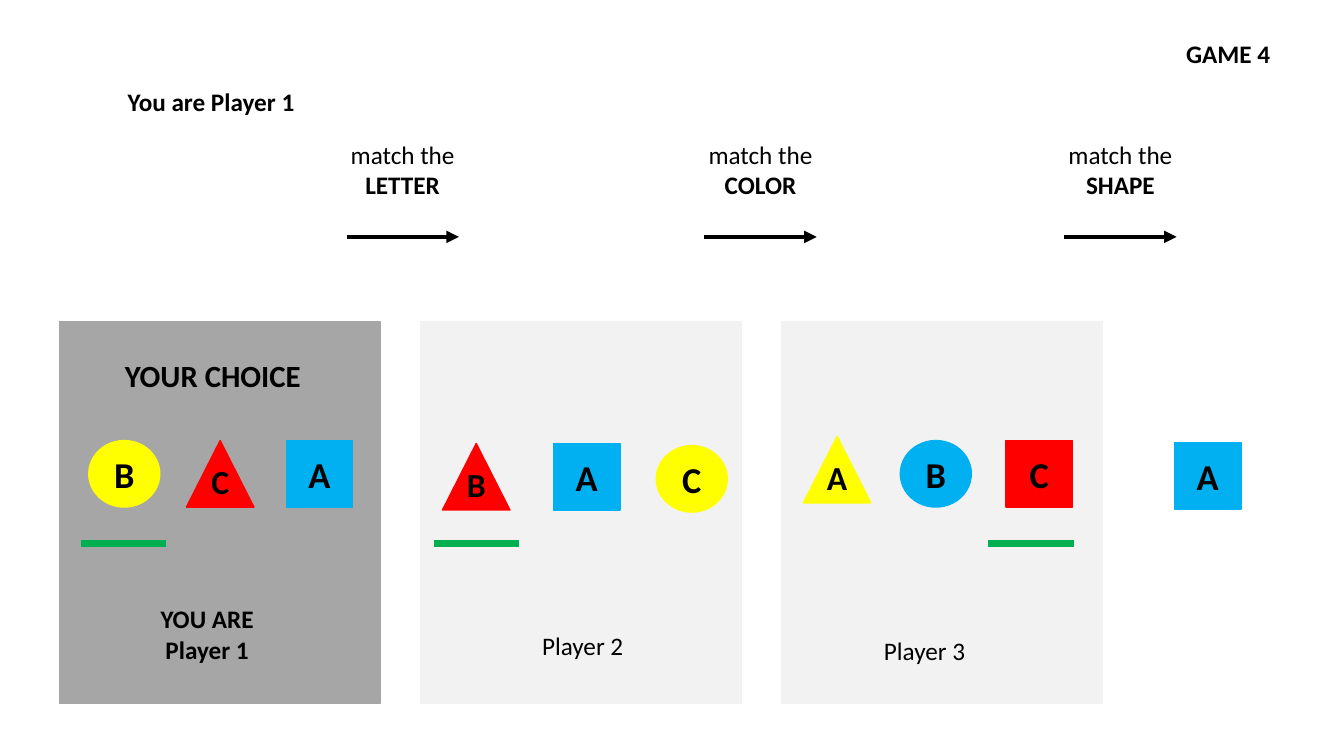
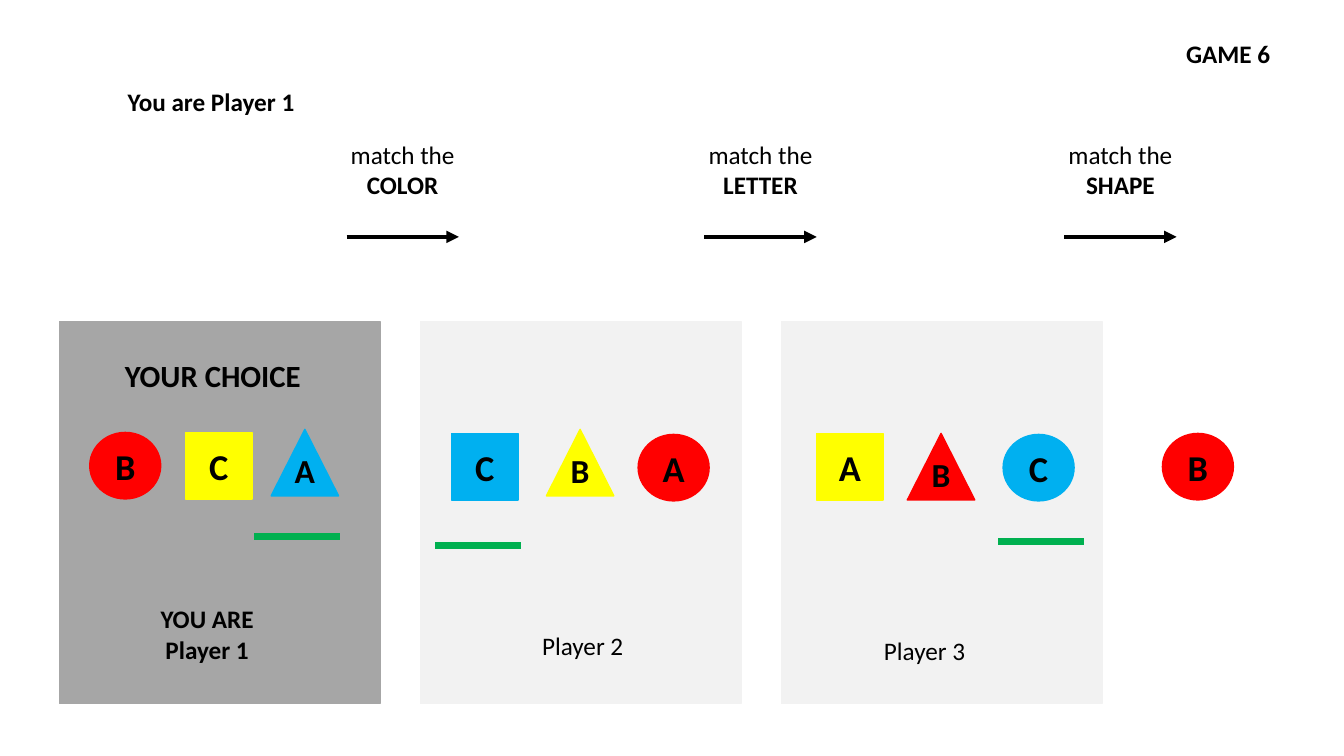
from lxml import etree
from pptx import Presentation
from pptx.dml.color import RGBColor
from pptx.enum.shapes import MSO_CONNECTOR, MSO_SHAPE
from pptx.enum.text import MSO_ANCHOR, MSO_AUTO_SIZE, PP_ALIGN
from pptx.oxml.ns import qn
from pptx.util import Pt

LEFT, CENTER = PP_ALIGN.LEFT, PP_ALIGN.CENTER
MIDDLE = MSO_ANCHOR.MIDDLE
FIT = MSO_AUTO_SIZE.SHAPE_TO_FIT_TEXT
STRAIGHT = MSO_CONNECTOR.STRAIGHT
RECT = MSO_SHAPE.RECTANGLE
CIRCLE, SQUARE, TRIANGLE = MSO_SHAPE.OVAL, RECT, MSO_SHAPE.ISOSCELES_TRIANGLE

FONT = "Calibri"
BLACK, GREEN = "000000", "00B050"
RED, YELLOW, BLUE = "FF0000", "FFFF00", "00B0F0"
DARK, LIGHT = "A6A6A6", "F2F2F2"

# Panel grid and token sizes, in points
PANEL_X, PANEL_Y, PANEL_W, PANEL_H = 42.5, 229.7, 229, 272.9
PITCH = 257.8
TOKEN_W = {CIRCLE: 50.7, SQUARE: 47.5, TRIANGLE: 48.2}
TOKEN_H = 47.5
BAR_W = 61.2
RULE_X = (242.6, 498.2, 755.3)

# Tokens: shape, colour, letter, x, y; bar: x, y; all relative to the panel
GAMES = [
    {
        "title": "GAME 4",
        "rules": ("LETTER", "COLOR", "SHAPE"),
        "panels": [
            ([(CIRCLE, YELLOW, "B", 20.9, 85), (TRIANGLE, RED, "C", 90.7, 85),
              (SQUARE, BLUE, "A", 162, 85)], (15.1, 158.4)),
            ([(TRIANGLE, RED, "B", 15.8, 87.1), (SQUARE, BLUE, "A", 95, 87.1),
              (CIRCLE, YELLOW, "C", 168.5, 88.6)], (9.4, 158.4)),
            ([(TRIANGLE, YELLOW, "A", 15.8, 82), (CIRCLE, BLUE, "B", 85, 85),
              (SQUARE, RED, "C", 160.6, 85)], (147.6, 158.4)),
        ],
        "result": (SQUARE, BLUE, "A", 23, 86.4),
    },
    {
        "title": "GAME 6",
        "rules": ("COLOR", "LETTER", "SHAPE"),
        "panels": [
            ([(CIRCLE, RED, "B", 21.6, 79.2), (SQUARE, YELLOW, "C", 90, 79.2),
              (TRIANGLE, BLUE, "A", 151.2, 77)], (139, 153.4)),
            ([(SQUARE, BLUE, "C", 22.3, 79.9), (TRIANGLE, YELLOW, "B", 90, 77),
              (CIRCLE, RED, "A", 155.5, 80.6)], (10.8, 159.8)),
            ([(SQUARE, YELLOW, "A", 25.2, 79.9), (TRIANGLE, RED, "B", 90, 79.9),
              (CIRCLE, BLUE, "C", 158.4, 80.6)], (154.8, 157)),
        ],
        "result": (CIRCLE, RED, "B", 14.4, 79.9),
    },
]


def color(hex_code):
    return RGBColor.from_string(hex_code)


def format_text(p, size, bold, align):
    p.alignment = align
    for r in p.runs:
        r.font.name = FONT
        r.font.size = Pt(size)
        r.font.bold = bold
        r.font.color.rgb = color(BLACK)


def add_text(s, x, y, w, h, lines, size=18, align=LEFT, wrap=False):
    """Place a text box; lines are (text, bold) pairs."""
    sp = s.shapes.add_textbox(Pt(x), Pt(y), Pt(w), Pt(h))
    tf = sp.text_frame
    tf.word_wrap = wrap
    tf.auto_size = FIT
    tf.text = "\n".join(text for text, _ in lines)
    for p, (_, bold) in zip(tf.paragraphs, lines):
        format_text(p, size, bold, align)


def add_block(s, kind, x, y, w, h, fill):
    sp = s.shapes.add_shape(kind, Pt(x), Pt(y), Pt(w), Pt(h))
    sp.shadow.inherit = False
    sp.fill.solid()
    sp.fill.fore_color.rgb = color(fill)
    sp.line.color.rgb = color(fill)
    sp.line.width = Pt(1)
    return sp


def add_line(s, x, y, w, hex_code, weight, arrow=False):
    c = s.shapes.add_connector(STRAIGHT, Pt(x), Pt(y), Pt(x + w), Pt(y))
    c.line.color.rgb = color(hex_code)
    c.line.width = Pt(weight)
    if arrow:
        etree.SubElement(c.line._get_or_add_ln(), qn("a:tailEnd"), type="triangle")
    etree.SubElement(c._element.spPr, qn("a:effectLst"))


def add_token(s, x, y, token):
    """Place a lettered token in the panel whose corner is x, y."""
    kind, fill, letter, dx, dy = token
    sp = add_block(s, kind, x + dx, y + dy, TOKEN_W[kind], TOKEN_H, fill)
    tf = sp.text_frame
    tf.text = letter
    tf.vertical_anchor = MIDDLE
    tf.margin_left = tf.margin_right = tf.margin_top = tf.margin_bottom = 0
    if kind == TRIANGLE:
        tf.margin_bottom = Pt(13)
    format_text(tf.paragraphs[0], 24 if kind == TRIANGLE else 26, True, CENTER)


def add_rule(s, x, y, name):
    """Matching rule with its arrow below."""
    add_text(s, x, y, 90, 51, [("match the", False), (name, True)], align=CENTER)
    add_line(s, x + 5, y + 73.4, 80.2, BLACK, 3, arrow=True)


def add_panel(s, x, y, number, tokens, bar):
    add_block(s, RECT, x, y, PANEL_W, PANEL_H, DARK if number == 1 else LIGHT)
    # Captions
    if number == 1:
        add_text(s, x + 39.6, y + 21.6, 149.8, 33.8, [("YOUR CHOICE", True)],
                 size=22, wrap=True)
        add_text(s, x + 64.8, y + 198, 81.4, 51,
                 [("YOU ARE", True), ("Player 1", True)], align=CENTER)
    elif number == 2:
        add_text(s, x + 78.5, y + 216.7, 74.9, 29, [("Player 2", False)],
                 align=CENTER)
    else:
        add_text(s, x + 66.2, y + 220.3, 88.6, 35.3, [("Player 3", False)])
    # Tokens and the mark under the chosen one
    for token in tokens:
        add_token(s, x, y, token)
    add_line(s, x + bar[0], y + bar[1], BAR_W, GREEN, 5)


def add_game(prs, game):
    s = prs.slides.add_slide(prs.slide_layouts[6])
    # Header
    add_text(s, 84.2, 58.3, 134.6, 29, [("You are Player 1", True)])
    add_text(s, 840.2, 23.8, 75.6, 29, [(game["title"], True)])
    for x, name in zip(RULE_X, game["rules"]):
        add_rule(s, x, 95.8, name)
    # Players and final result
    for i, (tokens, bar) in enumerate(game["panels"]):
        add_panel(s, PANEL_X + i * PITCH, PANEL_Y, i + 1, tokens, bar)
    add_token(s, PANEL_X + 3 * PITCH, PANEL_Y, game["result"])


def main():
    prs = Presentation()
    prs.slide_width, prs.slide_height = Pt(960), Pt(540)
    for game in GAMES:
        add_game(prs, game)
    prs.save("out.pptx")


if __name__ == "__main__":
    main()
